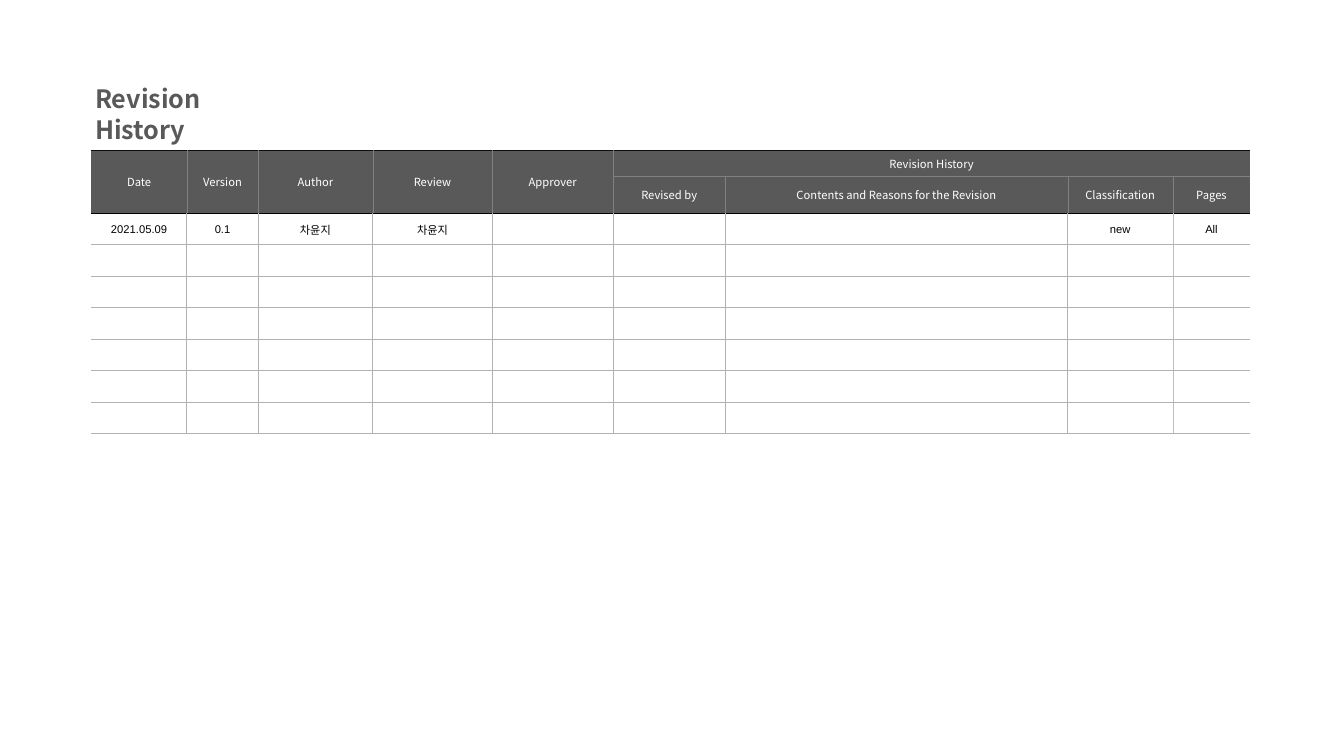
from dataclasses import dataclass
from typing import Optional

from lxml import etree
from pptx import Presentation
from pptx.dml.color import RGBColor
from pptx.enum.text import MSO_ANCHOR, MSO_AUTO_SIZE, PP_ALIGN
from pptx.oxml.ns import qn
from pptx.util import Pt

EMU_PER_PX = 9525
LEFT, CENTER = PP_ALIGN.LEFT, PP_ALIGN.CENTER
TOP, MIDDLE = MSO_ANCHOR.TOP, MSO_ANCHOR.MIDDLE
NO_AUTOFIT = MSO_AUTO_SIZE.NONE
TITLE_ONLY = 5

KOREAN_FONT, BODY_FONT = "Noto Sans CJK KR", "Arial"
DARK, WHITE, BLACK = "595959", "FFFFFF", "000000"
CELL_SIZE = 8

COLUMN_WIDTHS = [91, 68, 109, 114, 115, 107, 326, 100, 74]
HEADER_HEIGHTS = [23, 35]
BODY_ROWS, BODY_HEIGHT = 7, 30
ROW_HEIGHTS = HEADER_HEIGHTS + [BODY_HEIGHT] * BODY_ROWS
HEADER_ROWS = len(HEADER_HEIGHTS)
TABLE_LEFT, TABLE_TOP = 87, 143


@dataclass(frozen=True)
class HeaderCell:
    text: str
    row: int
    column: int
    height: int = 1
    width: int = 1


@dataclass(frozen=True)
class Edge:
    color: str
    width: float


HEADERS = [
    *(HeaderCell(text, 0, column, height=2) for column, text in
      enumerate(["Date", "Version", "Author", "Review", "Approver"])),
    HeaderCell("Revision History", 0, 5, width=4),
    *(HeaderCell(text, 1, column) for column, text in
      enumerate(["Revised by", "Contents and Reasons for the Revision",
                 "Classification", "Pages"], start=5)),
]
FIRST_REVISION = ["2021.05.09", "0.1", "차윤지", "차윤지", "", "", "", "new", "All"]

HEADER_TOP = Edge("0D0D0D", 0.25)
HEADER_INNER = Edge("808080", 0.25)
HEADER_BOTTOM = Edge(BLACK, 0.25)
BODY_INNER = Edge("B2B2B2", 0.75)
PAGES_LEFT = Edge("BFBFBF", 0.25)


def px(length: int) -> int:
    return length * EMU_PER_PX


def rgb(color: str) -> RGBColor:
    return RGBColor.from_string(color)


def write(frame, text: str, *, size: float, font: str, color: str,
          bold: bool = False, align=LEFT, space_before: float = 0) -> None:
    para = frame.paragraphs[0]
    para.alignment = align
    para.space_before = Pt(space_before)
    if not text:
        # Keeps an empty cell from taking the default text height
        etree.SubElement(para._p, qn("a:endParaRPr"), sz=str(int(size * 100)))
        return
    span = para.add_run()
    span.text = text
    span.font.size = Pt(size)
    span.font.bold = bold
    span.font.color.rgb = rgb(color)
    span.font.name = font
    etree.SubElement(span.font._element, qn("a:ea"), typeface=KOREAN_FONT)


def horizontal_edge(line: int) -> Edge:
    """Edge above the row with this index."""
    header_edges = [HEADER_TOP, HEADER_INNER, HEADER_BOTTOM]
    return header_edges[line] if line <= HEADER_ROWS else BODY_INNER


def vertical_edge(line: int, row: int) -> Optional[Edge]:
    """Edge left of the column with this index; the outer sides are open."""
    if line in (0, len(COLUMN_WIDTHS)):
        return None
    if row < HEADER_ROWS:
        return HEADER_INNER
    return PAGES_LEFT if line == len(COLUMN_WIDTHS) - 1 else BODY_INNER


def add_border(cell, side: str, edge: Optional[Edge]) -> None:
    properties = cell._tc.get_or_add_tcPr()
    border = etree.SubElement(properties, qn(f"a:ln{side}"))
    if edge is None:
        etree.SubElement(border, qn("a:noFill"))
        return
    border.set("w", str(Pt(edge.width)))
    fill = etree.SubElement(border, qn("a:solidFill"))
    etree.SubElement(fill, qn("a:srgbClr"), val=edge.color)


def format_cell(cell, row: int, column: int, text: str) -> None:
    is_header = row < HEADER_ROWS
    height = cell.span_height if cell.is_merge_origin else 1
    width = cell.span_width if cell.is_merge_origin else 1
    add_border(cell, "L", vertical_edge(column, row))
    add_border(cell, "R", vertical_edge(column + width, row))
    add_border(cell, "T", horizontal_edge(row))
    add_border(cell, "B", horizontal_edge(row + height))
    if is_header:
        cell.fill.solid()
        cell.fill.fore_color.rgb = rgb(DARK)
    else:
        cell.fill.background()
    cell.vertical_anchor = MIDDLE
    write(cell.text_frame, text, size=CELL_SIZE, align=CENTER, space_before=1.6,
          font=KOREAN_FONT if is_header else BODY_FONT,
          color=WHITE if is_header else BLACK)


def add_title(page) -> None:
    title = page.shapes.title
    title.left, title.top, title.width, title.height = map(px, (81, 75, 202, 38))
    frame = title.text_frame
    frame.word_wrap = True
    frame.auto_size = NO_AUTOFIT
    frame.vertical_anchor = TOP
    write(frame, "Revision History", size=18, font=KOREAN_FONT, color=DARK, bold=True)


def add_revision_table(page) -> None:
    table = page.shapes.add_table(
        len(ROW_HEIGHTS), len(COLUMN_WIDTHS), px(TABLE_LEFT), px(TABLE_TOP),
        px(sum(COLUMN_WIDTHS)), px(sum(ROW_HEIGHTS))).table
    table.first_row = table.horz_banding = False
    for column, width in zip(table.columns, COLUMN_WIDTHS):
        column.width = px(width)
    for row, height in zip(table.rows, ROW_HEIGHTS):
        row.height = px(height)

    texts = {(HEADER_ROWS, column): text for column, text in enumerate(FIRST_REVISION)}
    for header in HEADERS:
        texts[header.row, header.column] = header.text
        if header.height > 1 or header.width > 1:
            table.cell(header.row, header.column).merge(table.cell(
                header.row + header.height - 1, header.column + header.width - 1))

    for row in range(len(ROW_HEIGHTS)):
        for column in range(len(COLUMN_WIDTHS)):
            cell = table.cell(row, column)
            if not cell.is_spanned:
                format_cell(cell, row, column, texts.get((row, column), ""))


def main() -> None:
    deck = Presentation()
    deck.slide_width, deck.slide_height = px(1280), px(720)
    page = deck.slides.add_slide(deck.slide_layouts[TITLE_ONLY])
    add_revision_table(page)
    add_title(page)
    deck.save("out.pptx")


if __name__ == "__main__":
    main()
